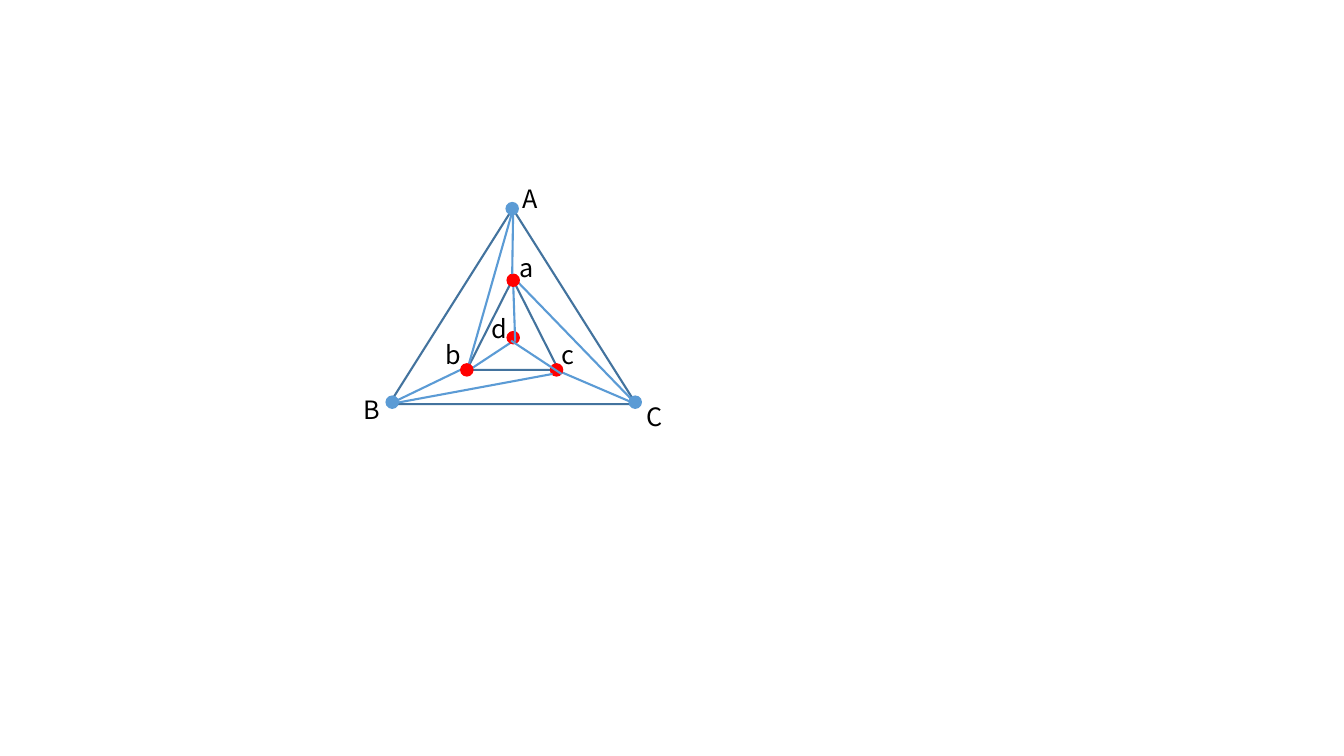
"""Draw a triangulated triangle ABC with the inner points a, b, c and d."""
from pptx import Presentation
from pptx import util as u
from pptx.dml.color import RGBColor
from pptx.enum import shapes, text
from pptx.oxml.ns import qn
from lxml import etree

BLUE = RGBColor(0x5B, 0x9B, 0xD5)
DARK_BLUE = RGBColor(0x43, 0x73, 0x9E)
RED = RGBColor(0xFF, 0x00, 0x00)
WHITE = RGBColor(0xFF, 0xFF, 0xFF)
BLACK = RGBColor(0x00, 0x00, 0x00)
FONT = "Noto Sans CJK SC"
DOT = 0.12

deck = Presentation()
deck.slide_width, deck.slide_height = u.Inches(13.33), u.Inches(7.5)
slide = deck.slides.add_slide(deck.slide_layouts[6])


def add_outline(kind, box, fill, line, weight):
    figure = slide.shapes.add_shape(kind, *map(u.Inches, box))
    figure.shadow.inherit = False
    figure.fill.solid()
    figure.fill.fore_color.rgb = fill
    figure.line.color.rgb = line
    figure.line.width = u.Pt(weight)


triangles = [(3.86, 2.07, 2.45, 1.94), (4.63, 2.77, 0.91, 0.9)]
for box in triangles:
    add_outline(shapes.MSO_SHAPE.ISOSCELES_TRIANGLE, box, WHITE, DARK_BLUE, 1.5)

A, B, C = (5.09, 2.07), (3.86, 4.01), (6.31, 4.01)
layers = [
    ([((5.54, 3.68), C), ((4.64, 3.68), (5.14, 3.35))],
     RED, [(5.46, 3.61), (5.03, 3.29)]),
    ([((5.09, 2.75), C), (A, (4.62, 3.72)), ((5.57, 3.71), (5.07, 3.38)),
      ((5.09, 2.81), (5.11, 3.39)), (B, (4.67, 3.62))],
     RED, [(4.57, 3.61), (5.03, 2.72)]),
    ([(A, (5.08, 2.72)), (B, (5.48, 3.71))],
     BLUE, [(3.83, 3.93), (6.24, 3.93), (5.02, 2.01)]),
]
for edges, dot_color, dots in layers:
    for start, end in edges:
        edge = slide.shapes.add_connector(
            shapes.MSO_CONNECTOR.STRAIGHT, *map(u.Inches, start + end))
        edge.line.color.rgb = BLUE
        edge.line.width = u.Pt(1.5)
        etree.SubElement(edge._element.spPr, qn("a:effectLst"))
    for left, top in dots:
        add_outline(shapes.MSO_SHAPE.OVAL, (left, top, DOT, DOT), dot_color, dot_color, 1)

labels = {"d": (4.78, 3.06), "C": (6.31, 3.93), "B": (3.51, 3.86), "A": (5.08, 1.77),
          "a": (5.05, 2.45), "b": (4.32, 3.32), "c": (5.47, 3.32)}
for letter, (left, top) in labels.items():
    frame = slide.shapes.add_textbox(*map(u.Inches, (left, top, 0.69, 0.4))).text_frame
    frame.word_wrap = True
    frame.auto_size = text.MSO_AUTO_SIZE.SHAPE_TO_FIT_TEXT
    run = frame.paragraphs[0].add_run()
    run.text = letter
    run.font.name = FONT
    run.font.size = u.Pt(18)
    run.font.color.rgb = BLACK

deck.save("out.pptx")
